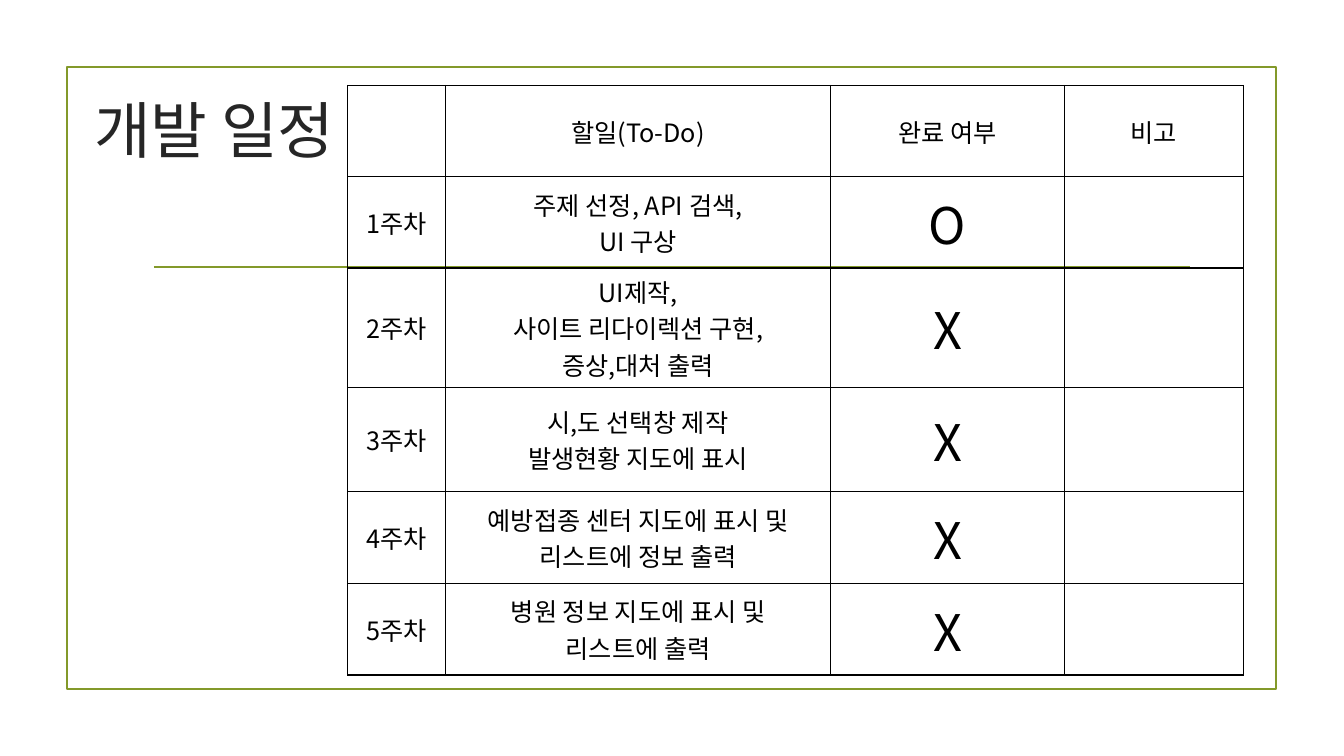
from lxml import etree
from pptx import Presentation
from pptx.dml.color import RGBColor
from pptx.enum.shapes import MSO_CONNECTOR, MSO_SHAPE
from pptx.enum.text import MSO_ANCHOR, PP_ALIGN
from pptx.oxml.ns import qn
from pptx.util import Pt

RECT = MSO_SHAPE.RECTANGLE
STRAIGHT = MSO_CONNECTOR.STRAIGHT
MIDDLE = MSO_ANCHOR.MIDDLE
CENTER = PP_ALIGN.CENTER
KOREAN = "Noto Sans CJK KR"
GREEN = "83992A"
BLACK = "000000"


def color(value):
    return RGBColor.from_string(value)


def write(tf, text, size, latin, ink):
    """Fill a text frame with centred lines, one paragraph per line."""
    tf.text = text
    for p in tf.paragraphs:
        p.alignment = CENTER
        for r in p.runs:
            r.font.size = Pt(size)
            r.font.name = latin
            r.font.color.rgb = color(ink)
            ea = etree.SubElement(r.font._element, qn("a:ea"))
            ea.set("typeface", KOREAN)


prs = Presentation()
prs.slide_width, prs.slide_height = Pt(960), Pt(540)
s = prs.slides.add_slide(prs.slide_layouts[6])

# Frame
frame = s.shapes.add_shape(RECT, Pt(47.7), Pt(48), Pt(864), Pt(444))
frame.shadow.inherit = False
frame.fill.background()
frame.line.color.rgb = color(GREEN)
frame.line.width = Pt(1.25)

# Rule behind the table
rule = s.shapes.add_connector(STRAIGHT, Pt(110), Pt(190.8), Pt(850), Pt(190.8))
rule.line.color.rgb = color(GREEN)
rule.line.width = Pt(1.25)
etree.SubElement(rule._element.spPr, qn("a:effectLst"))

# Title
title = s.shapes.add_textbox(Pt(28), Pt(40.3), Pt(250.5), Pt(103))
title.text_frame.word_wrap = True
title.text_frame.vertical_anchor = MIDDLE
write(title.text_frame, "개발 일정", 44, "Times New Roman", "262626")

# Schedule table
rows = [
    ("", "할일(To-Do)", "완료 여부", "비고"),
    ("1주차", "주제 선정, API 검색,\nUI 구상", "O", ""),
    ("2주차", "UI제작,\n사이트 리다이렉션 구현,\n증상,대처 출력", "X", ""),
    ("3주차", "시,도 선택창 제작\n발생현황 지도에 표시", "X", ""),
    ("4주차", "예방접종 센터 지도에 표시 및 리스트에 정보 출력", "X", ""),
    ("5주차", "병원 정보 지도에 표시 및\n리스트에 출력", "X", ""),
]
col_widths = [70, 275, 167, 128]
row_heights = [65.2, 65.2, 85.2, 74.6, 65.5, 65.5]
table = s.shapes.add_table(len(rows), len(col_widths), Pt(248.3), Pt(61),
                           Pt(sum(col_widths)), Pt(sum(row_heights))).table
table.first_row = table.horz_banding = False
for column, width in zip(table.columns, col_widths):
    column.width = Pt(width)
for row, height in zip(table.rows, row_heights):
    row.height = Pt(height)

for i, row in enumerate(rows):
    for j, text in enumerate(row):
        cell = table.cell(i, j)
        cell.vertical_anchor = MIDDLE
        if text:
            size = 36 if text in ("O", "X") else 18
            write(cell.text_frame, text, size, KOREAN, BLACK)

        # Borders come before the fill in the cell properties
        tc_pr = cell._tc.get_or_add_tcPr()
        for side in ("a:lnL", "a:lnR", "a:lnT", "a:lnB"):
            ln = etree.SubElement(tc_pr, qn(side), w=str(Pt(1)))
            fill = etree.SubElement(ln, qn("a:solidFill"))
            etree.SubElement(fill, qn("a:srgbClr"), val=BLACK)
        cell.fill.background()

prs.save("out.pptx")
